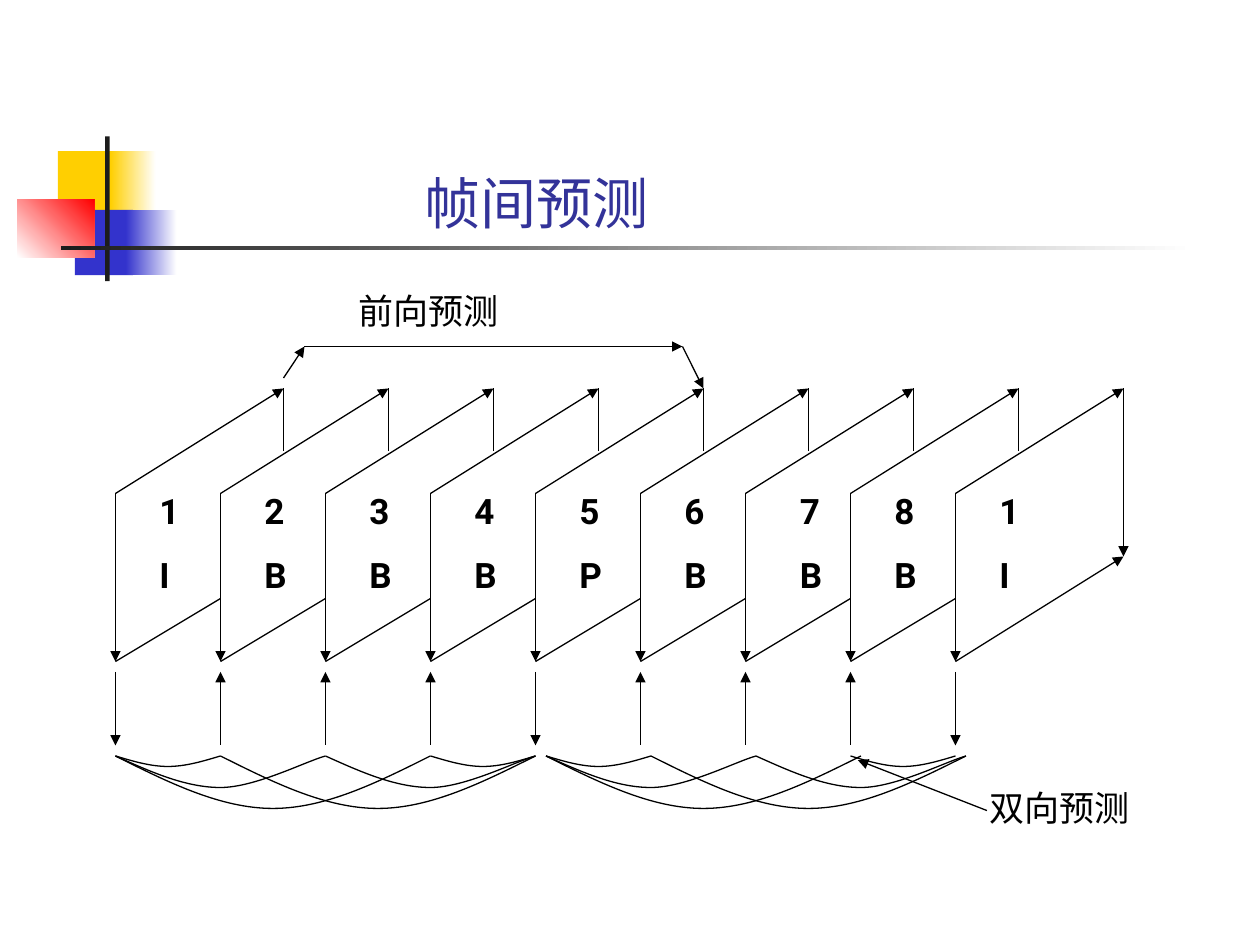
from lxml import etree
from pptx import Presentation
from pptx.dml.color import RGBColor
from pptx.enum.shapes import MSO_CONNECTOR, MSO_SHAPE
from pptx.enum.text import MSO_ANCHOR, MSO_AUTO_SIZE
from pptx.oxml.ns import qn
from pptx.util import Cm, Pt

RECT = MSO_SHAPE.RECTANGLE
LINE = MSO_CONNECTOR.STRAIGHT
BOTTOM = MSO_ANCHOR.BOTTOM
GROW = MSO_AUTO_SIZE.SHAPE_TO_FIT_TEXT
FONT = "Roboto"
BLACK = "000000"
UNIT = 2.54 / 12

TITLE = "帧间预测"
FORWARD = "前向预测"
BOTH = "双向预测"
FRAMES = [("1", "I"), ("2", "B"), ("3", "B"), ("4", "B"), ("5", "P"),
          ("6", "B"), ("7", "B"), ("8", "B"), ("1", "I")]
NUDGE = {6: 1}

DECOR = [
    (1.17, 3.05, 1.22, 1.32, ["FFCF01"], 0),
    (2.23, 3.05, 0.91, 1.32, ["FFCF01", "FFFFFF"], 0),
    (1.51, 4.23, 1.17, 1.32, ["3333CC"], 0),
    (2.54, 4.23, 1.02, 1.32, ["3333CC", "FFFFFF"], 0),
    (0.35, 4.02, 1.55, 1.17, ["FFFFFF", "FF0000"], 45),
    (2.12, 2.75, 0.09, 2.92, ["1C1C1C"], 0),
    (1.23, 4.95, 22.86, 0.09, ["1C1C1C", "FFFFFF"], 0),
]

ROUTE = [(27, 36), (29, 33), (65, 33), (67, 37)]
POINTER = [(94, 77.2), (81.7, 72.4)]

EVEN = [(1 / 6, 0.5), (1 / 3, 1), (0.5, 1), (2 / 3, 1), (5 / 6, 0.5), (1, 0)]
SKEW = EVEN[:4] + [(0.91, 0.16), (1, 0)]
ARCS = [(0, 10, 1, EVEN), (0, 20, 3, SKEW), (0, 30, 5, EVEN),
        (10, 30, 5, EVEN), (20, 20, 3, SKEW), (30, 10, 1, EVEN)]
GROUPS = [(11, 0), (52, -1)]

START, PITCH = 11, 10
WIDE, RISE, TALL = 16, 10, 16
TOP = 47

prs = Presentation()
prs.slide_width, prs.slide_height = Cm(25.4), Cm(19.05)
slide = prs.slides.add_slide(prs.slide_layouts[6])
shapes = slide.shapes


def color(code):
    return RGBColor.from_string(code)


def grid(n):
    return Cm(n * UNIT)


def block(x, y, w, h, tints, angle):
    box = shapes.add_shape(RECT, Cm(x), Cm(y), Cm(w), Cm(h))
    box.shadow.inherit = False
    box.line.fill.background()
    if len(tints) == 1:
        box.fill.solid()
        box.fill.fore_color.rgb = color(tints[0])
        return
    box.fill.gradient()
    box.fill.gradient_angle = angle
    for stop, tint in zip(box.fill.gradient_stops, tints):
        stop.color.rgb = color(tint)


def link(start, end, tip=None, width=0.75):
    line = shapes.add_connector(LINE, *map(grid, start + end))
    line.line.color.rgb = color(BLACK)
    line.line.width = Pt(width)
    props = line._element.spPr
    if tip:
        etree.SubElement(props.find(qn("a:ln")), qn("a:" + tip), type="triangle")
    etree.SubElement(props, qn("a:effectLst"))


def label(x, y, w, h, lines, size=20, bold=False, tint=BLACK):
    box = shapes.add_textbox(Cm(x), Cm(y), Cm(w), Cm(h))
    frame = box.text_frame
    frame.word_wrap = True
    for i, text in enumerate(lines):
        para = frame.paragraphs[0] if i == 0 else frame.add_paragraph()
        if i:
            para.space_before = Pt(12.5)
        run = para.add_run()
        run.text = text
        run.font.name = FONT
        run.font.size = Pt(size)
        run.font.bold = bold
        run.font.color.rgb = color(tint)
    return frame


def arc(x, y, w, depth, form):
    pen = shapes.build_freeform(grid(x), grid(y))
    dots = [(grid(x + w * u), grid(y + depth * v)) for u, v in form]
    pen.add_line_segments(dots, close=False)
    curve = pen.convert_to_shape()
    track = next(curve._element.iter(qn("a:path")))
    legs = track.findall(qn("a:lnTo"))
    for k in range(0, len(legs), 3):
        bend = etree.SubElement(track, qn("a:cubicBezTo"))
        for leg in legs[k:k + 3]:
            bend.append(leg[0])
            track.remove(leg)
    curve.shadow.inherit = False
    curve.fill.background()
    curve.line.color.rgb = color(BLACK)
    curve.line.width = Pt(0.75)


for part in DECOR:
    block(*part)

head = label(8.31, 2.92, 10.74, 1.96, [TITLE], 32, tint="333399")
head.vertical_anchor = BOTTOM

for i, (num, kind) in enumerate(FRAMES):
    x = START + i * PITCH
    far, low, peak = x + WIDE, TOP + TALL, TOP - RISE
    link((x, TOP), (far, peak), "tailEnd")
    link((x, TOP), (x, low), "tailEnd")
    if i == len(FRAMES) - 1:
        link((x, low), (far, low - RISE), "tailEnd")
        link((far, peak), (far, low - RISE), "tailEnd")
    else:
        link((x, low), (x + PITCH, low - 6))
        link((far, peak), (far, peak + 6), width=0.75 if i % 2 else 1)
    link((x, 64), (x, 71), "headEnd" if kind == "B" else "tailEnd")
    left = x + 3 + NUDGE.get(i, 0)
    note = label(left * UNIT, 46 * UNIT, 4 * UNIT, 2.39, [num, kind], bold=True)
    note.auto_size = GROW

for a, b in zip(ROUTE, ROUTE[1:]):
    link(a, b, "tailEnd")
label(6.98, 5.72, 5.5, 1.12, [FORWARD]).auto_size = GROW

for base, shift in GROUPS:
    for i, (off, w, depth, form) in enumerate(ARCS):
        last = shift if i == len(ARCS) - 1 else 0
        arc(base + off + last, 72, w, depth, form)

label(19.7, 15.73, 3.4, 1.12, [BOTH]).auto_size = GROW
link(*POINTER, "tailEnd")

prs.save("out.pptx")
